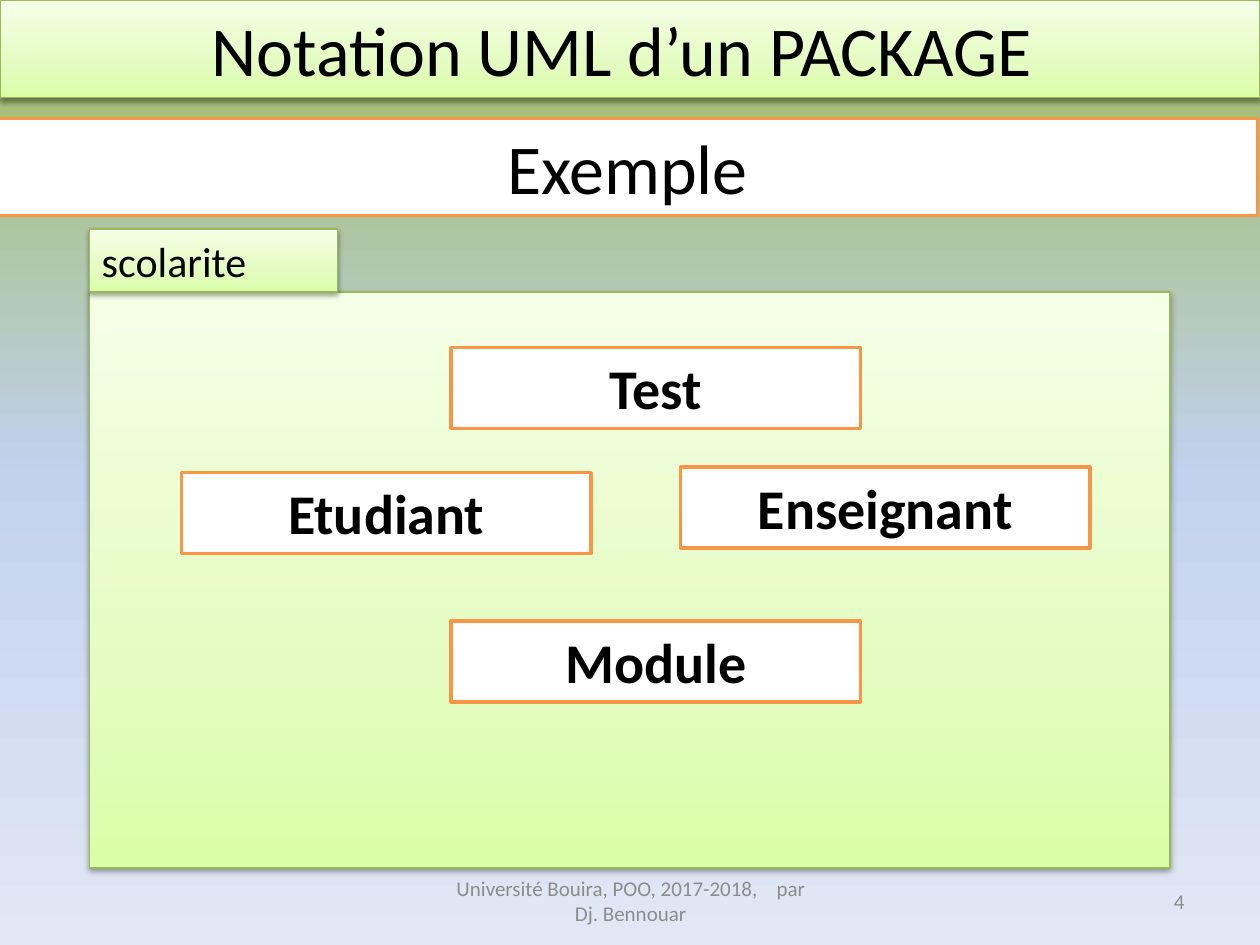
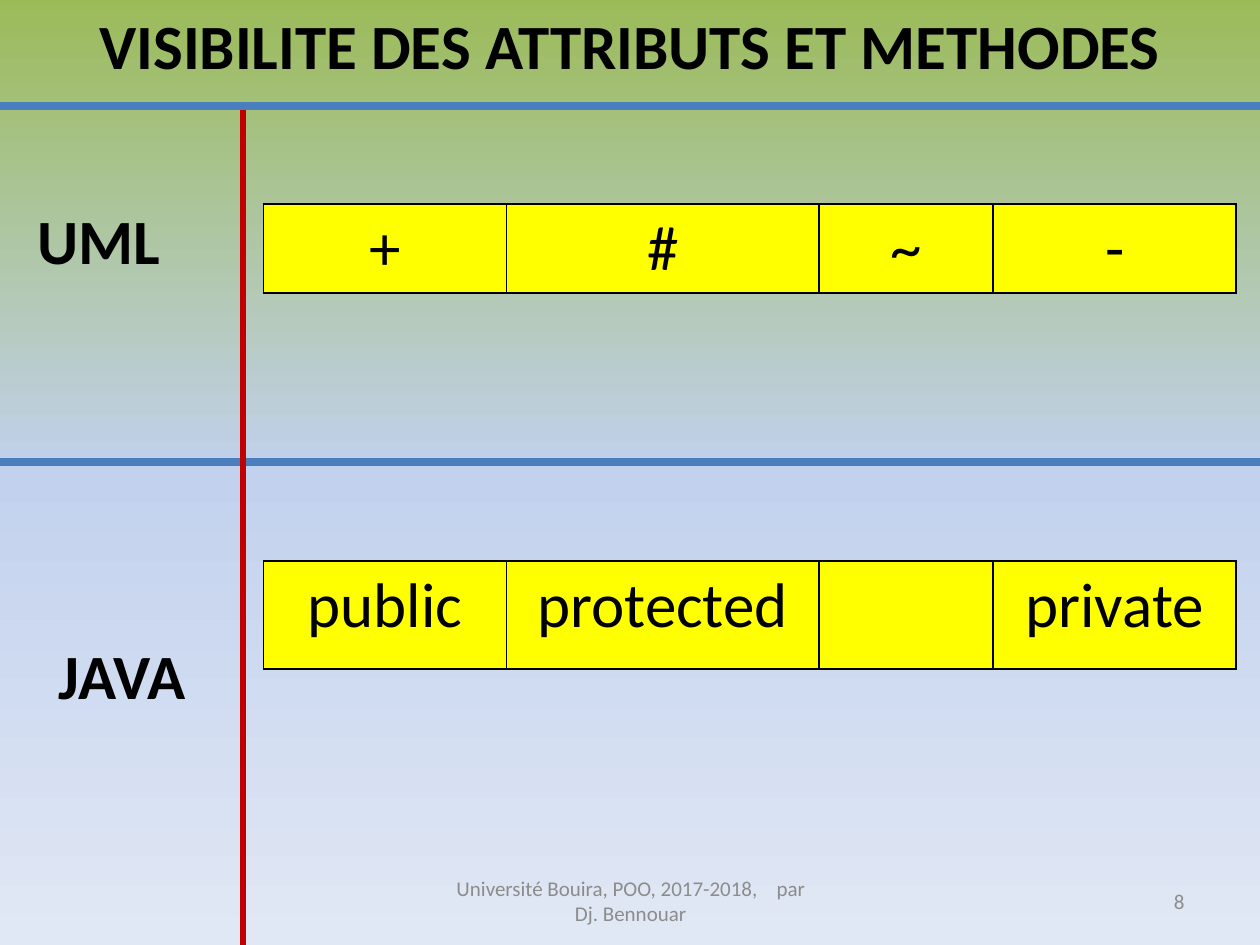
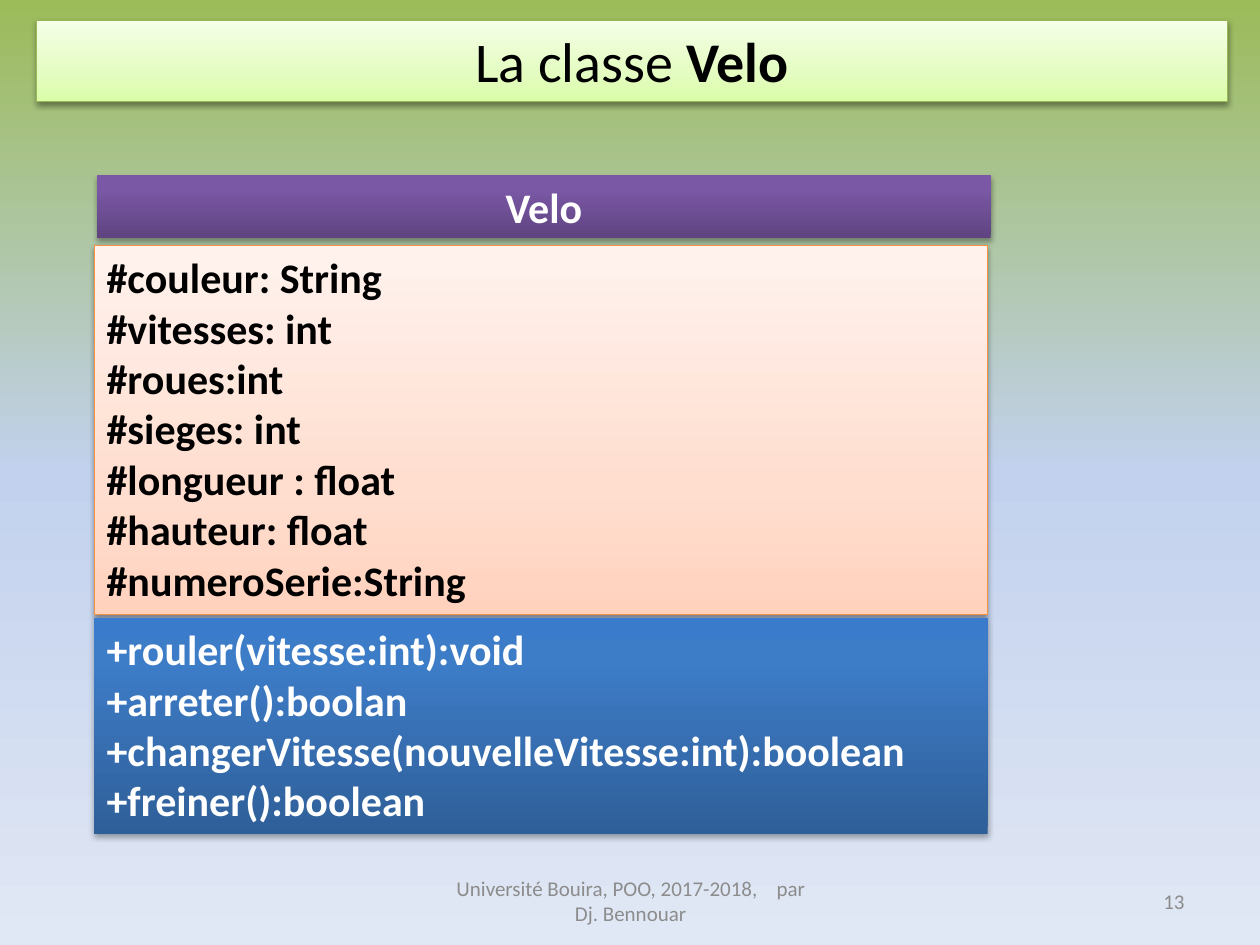
from lxml import etree
from pptx import Presentation
from pptx import util as u
from pptx.dml.color import RGBColor
from pptx.enum import shapes, text
from pptx.oxml.ns import qn

FONT = "Calibri"
WIDTH, HEIGHT = 25.4, 19.05
COLORS = {
    "black": "000000", "white": "FFFFFF", "grey": "8C8C8C", "yellow": "FFFF00",
    "orange": "F79646", "peach_edge": "F69240", "green_edge": "98B955",
    "rule": "4B7EBC", "red": "C00000",
}
# Gradients: (percent, hex) stops
GRADIENTS = {
    "page": [(0, "9BBB59"), (50, "C2D1ED"), (100, "E1E8F5")],
    "green": [(0, "DAFDA7"), (35, "E4FCC2"), (100, "F5FFE7")],
    "purple": [(0, "5F4480"), (80, "7B58A6"), (100, "7C57A8")],
    "peach": [(0, "FFD2BD"), (35, "FFDED0"), (100, "FFF2ED")],
    "blue": [(0, "2F5F99"), (80, "3D7CC7"), (100, "3A7CCB")],
}
NO_STYLE_TABLE = "{2D5ABB26-0587-4C30-8999-92F81FD0307C}"
LEFT, CENTER, RIGHT = (text.PP_ALIGN.LEFT, text.PP_ALIGN.CENTER,
                       text.PP_ALIGN.RIGHT)


# Shared formatting
def color(name):
    return RGBColor.from_string(COLORS[name])


def lengths(box):
    return [u.Cm(round(value, 2)) for value in box]


def sub(parent, tag, **attributes):
    return etree.SubElement(parent, qn(tag), attributes)


def fill_gradient(fill, element, name, angle):
    fill.gradient()
    fill.gradient_angle = angle
    stops = element.xpath(".//a:gsLst")[0]
    for stop in list(stops):
        stops.remove(stop)
    for percent, value in GRADIENTS[name]:
        stop = sub(stops, "a:gs", pos=str(percent * 1000))
        sub(stop, "a:srgbClr", val=value)


def add_shadow(shape, opacity):
    shape.shadow.inherit = False
    effects = shape.element.xpath("./p:spPr/a:effectLst")[0]
    outer = sub(effects, "a:outerShdw", blurRad="40000", dist="20000",
                dir="5400000", rotWithShape="0")
    tint = sub(outer, "a:srgbClr", val=COLORS["black"])
    sub(tint, "a:alpha", val=str(opacity * 1000))


def paint(shape, gradient, edge=None):
    """Gradient fill, optional thin edge and soft shadow."""
    fill_gradient(shape.fill, shape.element, gradient, 90)
    if edge:
        shape.line.color.rgb = color(edge)
        shape.line.width = u.Pt(0.75)
    else:
        shape.line.fill.background()
    add_shadow(shape, 38 if edge else 35)


def outline(shape):
    """White fill with an orange border."""
    shape.fill.solid()
    shape.fill.fore_color.rgb = color("white")
    shape.line.color.rgb = color("orange")
    shape.line.width = u.Pt(2)
    shape.shadow.inherit = False


def style(span, size, tone="black", bold=False):
    span.font.name = FONT
    span.font.size = u.Pt(size)
    span.font.bold = bold
    span.font.color.rgb = color(tone)


def write(frame, content, size, tone="black", bold=False, align=CENTER,
          anchor=text.MSO_ANCHOR.TOP):
    frame.word_wrap = True
    frame.vertical_anchor = anchor
    frame.text = content
    for para in frame.paragraphs:
        para.alignment = align
        for span in para.runs:
            style(span, size, tone, bold)


def add_box(parts, box):
    return parts.add_shape(shapes.MSO_SHAPE.RECTANGLE, *lengths(box))


def add_label(page, box, content, size, **options):
    label = page.shapes.add_textbox(*lengths(box))
    write(label.text_frame, content, size, **options)
    return label


def add_rule(page, start, end, tone, width):
    rule = page.shapes.add_connector(shapes.MSO_CONNECTOR.STRAIGHT,
                                     *lengths(start + end))
    rule.line.color.rgb = color(tone)
    rule.line.width = u.Pt(width)
    sub(rule.element.xpath("./p:spPr")[0], "a:effectLst")


# Parts common to every slide
def add_page(deck, box, title, size, number, bold=False):
    page = deck.slides.add_slide(deck.slide_layouts[5])
    heading = page.shapes.title
    heading.left, heading.top, heading.width, heading.height = lengths(box)
    write(heading.text_frame, title, size, bold=bold)
    heading.text_frame.auto_size = text.MSO_AUTO_SIZE.NONE
    add_footer(page, (8.69, 17.65, 8.05, 1.02), number)
    return page


def add_footer(page, box, number):
    left, top, width, height = box
    options = {"tone": "grey", "anchor": text.MSO_ANCHOR.MIDDLE}
    footer = add_label(page, box, "Université Bouira, POO, 2017-2018,", 12,
                       **options)
    para = footer.text_frame.paragraphs[0]
    gap, author = para.add_run(), para.add_run()
    gap.text, author.text = " ", "par Dj. Bennouar"
    for span in (gap, author):
        style(span, 12, "grey")
    gap.font._element.set("spc", "800")
    add_label(page, (left + 9.52, top, 5.92, height), str(number), 12,
              align=RIGHT, **options)


# UML package: a tab, a body and the classes inside
def add_package(page, box, name, classes):
    left, top, width, height = box
    tab_height = 1.27
    parts = page.shapes.add_group_shape().shapes
    body = add_box(parts, (left, top + tab_height, width, height - tab_height))
    tab = add_box(parts, (left, top, 5, tab_height))
    for shape in (body, tab):
        paint(shape, "green", "green_edge")
    write(tab.text_frame, name, 24, align=LEFT)
    for label, across, down in classes:
        item = add_box(page.shapes, (left + across, top + down, 8.26, 1.63))
        outline(item)
        write(item.text_frame, label, 32, bold=True)


# Visibility grid: yellow rows for UML and Java, clear rows between
def add_borders(cell):
    properties = cell._tc.get_or_add_tcPr()
    for position, side in enumerate(("a:lnL", "a:lnR", "a:lnT", "a:lnB")):
        border = etree.Element(qn(side), w="12700")
        sub(sub(border, "a:solidFill"), "a:srgbClr", val=COLORS["black"])
        properties.insert(position, border)


def add_visibility_table(page, box, columns, rows, content):
    frame = page.shapes.add_table(len(rows), len(columns), *lengths(box))
    table = frame.table
    table.first_row = table.horz_banding = False
    frame.element.xpath(".//a:tableStyleId")[0].text = NO_STYLE_TABLE
    for column, width in zip(table.columns, columns):
        column.width = u.Cm(width)
    for row, height in zip(table.rows, rows):
        row.height = u.Cm(height)
    for row_index, labels in content.items():
        for column_index, label in enumerate(labels):
            cell = table.cell(row_index, column_index)
            cell.fill.solid()
            cell.fill.fore_color.rgb = color("yellow")
            add_borders(cell)
            if label:
                cell.text_frame.text = label
                para = cell.text_frame.paragraphs[0]
                para.alignment = CENTER
                style(para.runs[0], 36)


# UML class: name, attributes and methods
def add_class(page, box, name, attributes, methods):
    left, top, width, height = box
    parts = page.shapes.add_group_shape().shapes
    sections = [
        (0.06, 0, 1.27, name, "purple", None, "white", CENTER),
        (0, 1.42, 7.44, attributes, "peach", "peach_edge", "black", LEFT),
        (0, 8.92, height - 8.92, methods, "blue", None, "white", LEFT),
    ]
    for across, down, tall, content, gradient, edge, tone, align in sections:
        section = add_box(parts, (left + across, top + down, width, tall))
        paint(section, gradient, edge)
        write(section.text_frame, content, 24, tone, True, align)


# Slides
def build_package_slide(deck):
    page = add_page(deck, (0, 0, WIDTH, 1.96), "Notation UML d’un PACKAGE ",
                    40, 4)
    paint(page.shapes.title, "green", "green_edge")
    subtitle = add_box(page.shapes, (-0.05, 2.39, WIDTH, 1.96))
    outline(subtitle)
    write(subtitle.text_frame, "Exemple", 40)
    add_package(page, (1.8, 4.62, 21.79, 12.88), "scolarite", [
        ("Etudiant", 1.86, 4.91), ("Enseignant", 11.92, 4.8),
        ("Module", 7.29, 7.9), ("Test", 7.29, 2.39)])


def build_visibility_slide(deck):
    page = add_page(deck, (0, 0, WIDTH, 1.8),
                    "VISIBILITE DES ATTRIBUTS ET METHODES", 36, 8, bold=True)
    for label, left, top in (("UML", 0.51, 3.94), ("JAVA", 0.94, 12.7)):
        add_label(page, (left, top, 4.8, 1.8), label, 36, bold=True,
                  align=LEFT)
    header, middle, divider = 2.13, 9.32, 4.9
    add_rule(page, (0, middle), (WIDTH, middle), "rule", 4.5)
    add_rule(page, (divider, header), (divider, HEIGHT), "red", 3)
    add_rule(page, (0, header), (WIDTH, header), "rule", 4.5)
    add_visibility_table(
        page, (5.31, 4.11, 19.61, 9.38), [4.9, 6.3, 3.51, 4.9],
        [1.8] * 4 + [2.18],
        {0: ["+", "#", "~", "-"], 4: ["public", "protected", "", "private"]})


def build_class_slide(deck):
    page = add_page(deck, (0.74, 0.41, 24, 1.63), "La classe ", 32, 13)
    heading = page.shapes.title
    paint(heading, "green", "green_edge")
    span = heading.text_frame.paragraphs[0].add_run()
    span.text = "Velo"
    style(span, 32, bold=True)
    attributes = ["#couleur: String", "#vitesses: int", "#roues:int",
                  "#sieges: int", "#longueur : float", "#hauteur: float",
                  "#numeroSerie:String"]
    methods = ["+rouler(vitesse:int):void", "+arreter():boolan",
               "+changerVitesse(nouvelleVitesse:int):boolean",
               "+freiner():boolean"]
    add_class(page, (1.9, 3.53, 18.01, 13.29), "Velo",
              "\n".join(attributes), "\n".join(methods))


def main():
    deck = Presentation()
    deck.slide_width, deck.slide_height = lengths((WIDTH, HEIGHT))
    master = deck.slide_master
    fill_gradient(master.background.fill, master.element, "page", 270)
    build_package_slide(deck)
    build_visibility_slide(deck)
    build_class_slide(deck)
    deck.save("out.pptx")


if __name__ == "__main__":
    main()
